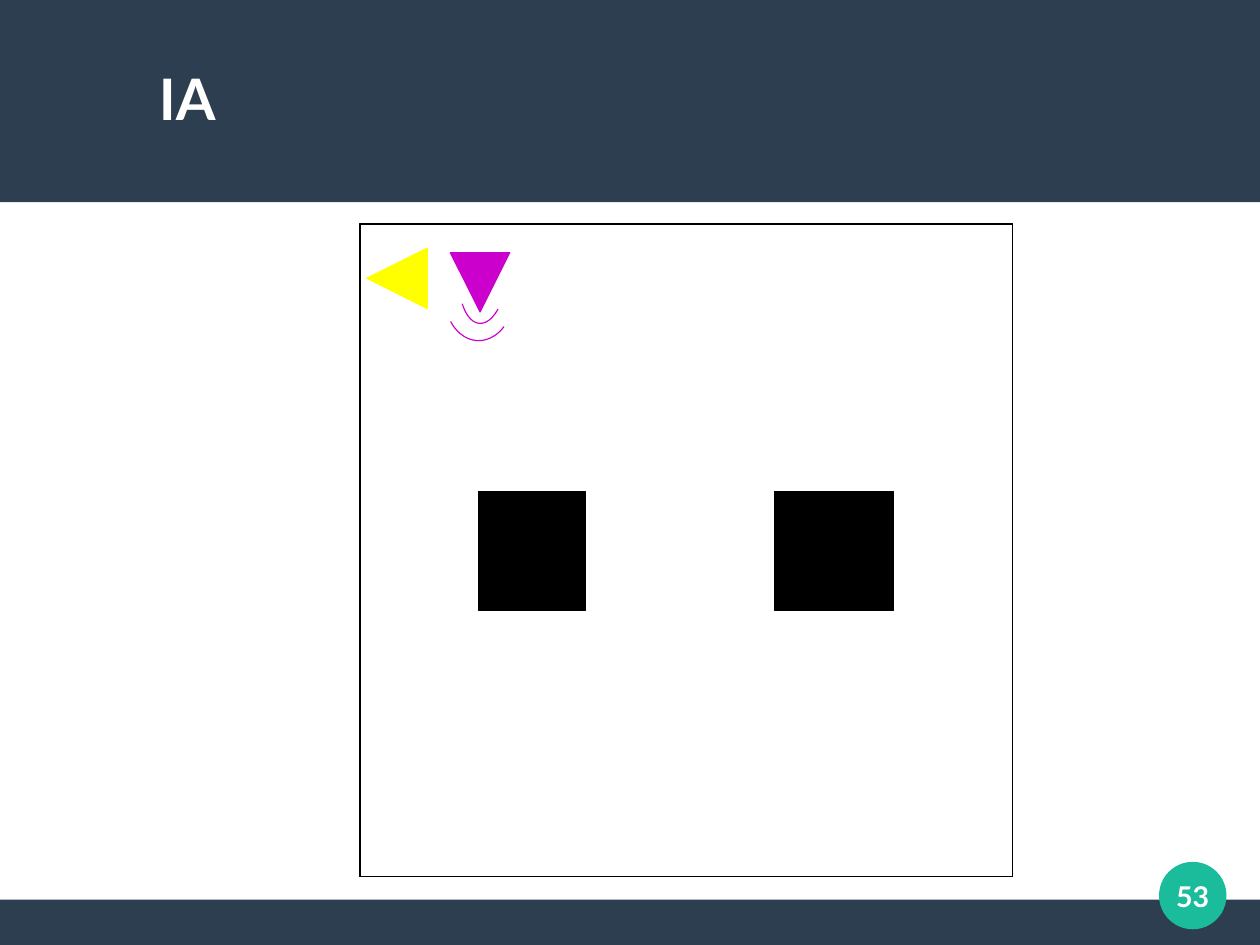
from dataclasses import dataclass
from typing import Optional

from pptx import Presentation
from pptx.dml.color import RGBColor
from pptx.enum.shapes import MSO_SHAPE
from pptx.enum.text import MSO_ANCHOR, PP_ALIGN
from pptx.util import Inches, Pt

RECTANGLE = MSO_SHAPE.RECTANGLE
OVAL = MSO_SHAPE.OVAL
FRAME = MSO_SHAPE.FRAME
TRIANGLE = MSO_SHAPE.ISOSCELES_TRIANGLE
ARC = MSO_SHAPE.ARC
MIDDLE = MSO_ANCHOR.MIDDLE
LEFT = PP_ALIGN.LEFT
CENTER = PP_ALIGN.CENTER

NAVY = RGBColor(0x2C, 0x3E, 0x50)
TEAL = RGBColor(0x1A, 0xBC, 0x9C)
BLUE = RGBColor(0x72, 0x9F, 0xCF)
BLACK = RGBColor(0x00, 0x00, 0x00)
WHITE = RGBColor(0xFF, 0xFF, 0xFF)
MAGENTA = RGBColor(0xCC, 0x00, 0xCC)
YELLOW = RGBColor(0xFF, 0xFF, 0x00)

CENTIMETRES_PER_INCH = 2.54
SLIDE_WIDTH = 28 / CENTIMETRES_PER_INCH
SLIDE_HEIGHT = 21 / CENTIMETRES_PER_INCH
FOOTER_TOP = 7.87
FONT_NAME = "Lato"


@dataclass
class Figure:
    preset: MSO_SHAPE
    left: float
    top: float
    width: float
    height: float
    fill: Optional[RGBColor] = None
    line: Optional[RGBColor] = None
    rotation: float = 0
    adjustments: tuple[float, ...] = ()


@dataclass
class Label:
    text: str
    left: float
    top: float
    width: float
    height: float
    size: int
    alignment: PP_ALIGN


FIGURES = [
    Figure(RECTANGLE, 0, FOOTER_TOP, SLIDE_WIDTH, SLIDE_HEIGHT - FOOTER_TOP, NAVY),
    Figure(RECTANGLE, 0, 0, SLIDE_WIDTH, 1.77, NAVY),
    Figure(OVAL, 10.14, 7.54, 0.59, 0.59, TEAL),
    Figure(FRAME, 3.15, 1.96, 5.71, 5.71, BLUE, BLACK, adjustments=(0,)),
    Figure(RECTANGLE, 4.19, 4.3, 0.93, 1.04, BLACK, BLACK),
    Figure(RECTANGLE, 6.78, 4.3, 1.04, 1.04, BLACK, BLACK),
    Figure(TRIANGLE, 3.94, 2.21, 0.52, 0.52, MAGENTA, MAGENTA, 180),
    Figure(ARC, 3.89, 2.18, 0.61, 0.8, None, MAGENTA, 182.7, (137.69, 188.81)),
    Figure(ARC, 4.02, 2.01, 0.41, 0.82, None, MAGENTA, 184.3, (144.47, 181.75)),
    Figure(TRIANGLE, 3.21, 2.17, 0.53, 0.53, YELLOW, YELLOW, 270),
]

LABELS = [
    Label("IA", 1.39, 0.33, 9.24, 1.05, 36, LEFT),
    Label("53", 10.04, 7.44, 0.79, 0.79, 18, CENTER),
]


def draw_figure(slide, figure: Figure) -> None:
    shape = slide.shapes.add_shape(
        figure.preset,
        Inches(figure.left),
        Inches(figure.top),
        Inches(figure.width),
        Inches(figure.height),
    )
    shape.shadow.inherit = False
    shape.rotation = figure.rotation
    for index, value in enumerate(figure.adjustments):
        shape.adjustments[index] = value
    if figure.fill is None:
        shape.fill.background()
    else:
        shape.fill.solid()
        shape.fill.fore_color.rgb = figure.fill
    if figure.line is None:
        shape.line.fill.background()
    else:
        shape.line.color.rgb = figure.line
        shape.line.width = Pt(0)


def draw_label(slide, label: Label) -> None:
    text_box = slide.shapes.add_textbox(
        Inches(label.left),
        Inches(label.top),
        Inches(label.width),
        Inches(label.height),
    )
    text_frame = text_box.text_frame
    frame_format = {
        "word_wrap": True,
        "vertical_anchor": MIDDLE,
        "margin_left": Inches(0),
        "margin_top": Inches(0),
        "margin_right": Inches(0),
        "margin_bottom": Inches(0),
    }
    for name, value in frame_format.items():
        setattr(text_frame, name, value)
    paragraph = text_frame.paragraphs[0]
    paragraph.alignment = label.alignment
    run = paragraph.add_run()
    run.text = label.text
    font_format = {"name": FONT_NAME, "size": Pt(label.size), "bold": True}
    for name, value in font_format.items():
        setattr(run.font, name, value)
    run.font.color.rgb = WHITE


def main() -> None:
    presentation = Presentation()
    presentation.slide_width = Inches(SLIDE_WIDTH)
    presentation.slide_height = Inches(SLIDE_HEIGHT)
    slide = presentation.slides.add_slide(presentation.slide_layouts[6])
    for figure in FIGURES:
        draw_figure(slide, figure)
    for label in LABELS:
        draw_label(slide, label)
    presentation.save("out.pptx")


if __name__ == "__main__":
    main()
